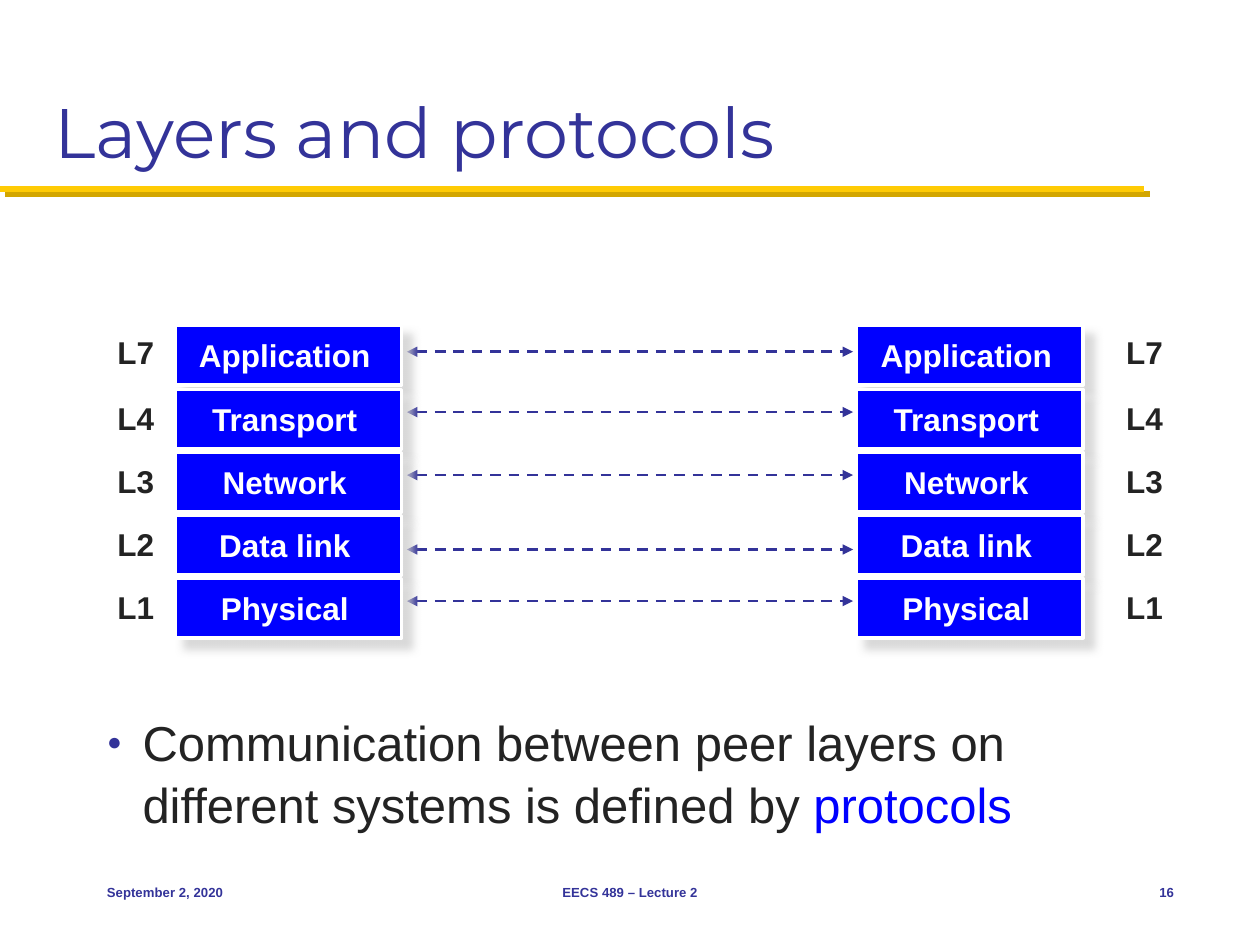
from dataclasses import dataclass

from lxml import etree
from pptx import Presentation
from pptx import util as u
from pptx.dml.color import RGBColor
from pptx.enum import dml, shapes, text
from pptx.oxml import ns

Pt = u.Pt
COLORS = {"ink": "232323", "navy": "333399", "blue": "0000FF", "white": "FFFFFF",
          "gold": "FFCB05", "gold_shade": "D3A600", "shade": "CECECE"}
LEFT, CENTER, RIGHT = text.PP_ALIGN.LEFT, text.PP_ALIGN.CENTER, text.PP_ALIGN.RIGHT
TOP, MIDDLE, BOTTOM = text.MSO_ANCHOR.TOP, text.MSO_ANCHOR.MIDDLE, text.MSO_ANCHOR.BOTTOM
INSETS = (7.2, 3.6, 7.2, 3.6)


@dataclass(frozen=True)
class Layer:
    tag: str
    name: str
    caption_width: float
    box_top: float
    tag_top: float
    arrow_y: float


@dataclass(frozen=True)
class Stack:
    box_left: float
    tag_left: float


@dataclass(frozen=True)
class Footer:
    words: str
    left: float
    width: float
    align: text.PP_ALIGN


LAYERS = [
    Layer("L7", "Application", 121.5, 186, 186.5, 201),
    Layer("L4", "Transport", 104.5, 222.5, 224.5, 235.5),
    Layer("L3", "Network", 91.5, 258.5, 260.5, 271.5),
    Layer("L2", "Data link", 96, 294.5, 296.5, 314),
    Layer("L1", "Physical", 93.5, 330.5, 332.5, 343.5),
]
STACKS = [Stack(100, 60), Stack(489.5, 636.5)]
FOOTERS = [
    Footer("September 2, 2020", 54, 150, LEFT),
    Footer("EECS 489 – Lecture 2", 246, 228, CENTER),
    Footer("16", 630, 48, RIGHT),
]
BOX_WIDTH, BOX_HEIGHT, CAPTION_HEIGHT = 129.5, 34, 28


def rgb(color: str) -> RGBColor:
    return RGBColor.from_string(COLORS[color])


def apply(obj, formats: dict) -> None:
    for name, value in formats.items():
        setattr(obj, name, value)


def add_sub(parent, tag: str, **attrs):
    return etree.SubElement(parent, ns.qn(tag), {k: str(v) for k, v in attrs.items()})


def place(sp, left: float, top: float, width: float, height: float) -> None:
    apply(sp, {"left": Pt(left), "top": Pt(top), "width": Pt(width), "height": Pt(height)})


def set_frame(tf, anchor, wrap: bool, insets=INSETS) -> None:
    sides = ("margin_left", "margin_top", "margin_right", "margin_bottom")
    apply(tf, dict(zip(sides, map(Pt, insets))))
    apply(tf, {"auto_size": text.MSO_AUTO_SIZE.NONE, "word_wrap": wrap,
               "vertical_anchor": anchor})


def add_run(p, words: str, size: float, color: str, font="Arial", bold=False) -> None:
    r = p.add_run()
    r.text = words
    apply(r.font, {"name": font, "size": Pt(size), "bold": bold})
    r.font.color.rgb = rgb(color)


def add_shadow(sp, color: str, alpha: int, blur: float, distance: float) -> None:
    """Cast a shadow down and to the right at 45 degrees."""
    props = sp._element.spPr
    for old in props.findall(ns.qn("a:effectLst")):
        props.remove(old)
    shadow = add_sub(add_sub(props, "a:effectLst"), "a:outerShdw", blurRad=Pt(blur),
                     dist=Pt(distance), dir=45 * 60000, algn="tl", rotWithShape=0)
    add_sub(add_sub(shadow, "a:srgbClr", val=COLORS[color]), "a:alpha", val=alpha * 1000)


def add_rect(parent, left: float, top: float, width: float, height: float, fill: str):
    sp = parent.add_shape(shapes.MSO_SHAPE.RECTANGLE, *map(Pt, (left, top, width, height)))
    sp.shadow.inherit = False
    sp.fill.solid()
    sp.fill.fore_color.rgb = rgb(fill)
    sp.line.fill.background()
    return sp


def add_line(s, x1: float, x2: float, y: float, color: str, weight: float):
    line = s.shapes.add_connector(shapes.MSO_CONNECTOR.STRAIGHT, *map(Pt, (x1, y, x2, y)))
    line.line.color.rgb = rgb(color)
    line.line.width = Pt(weight)
    return line


def draw_box(s, stack: Stack, layer: Layer) -> None:
    group = s.shapes.add_group_shape().shapes
    box = add_rect(group, stack.box_left, layer.box_top, BOX_WIDTH, BOX_HEIGHT, "blue")
    box.line.color.rgb = rgb("white")
    box.line.width = Pt(2)
    add_shadow(box, "shade", 75, 5, 8)
    caption = add_rect(group, stack.box_left + (BOX_WIDTH - layer.caption_width) / 2,
                       layer.box_top + (BOX_HEIGHT - CAPTION_HEIGHT) / 2,
                       layer.caption_width, CAPTION_HEIGHT, "blue")
    set_frame(caption.text_frame, MIDDLE, False, (3, 3, 7.2, 3))
    p = caption.text_frame.paragraphs[0]
    p.alignment = CENTER
    add_run(p, layer.name, 18, "white", bold=True)


def draw_tag(s, stack: Stack, layer: Layer) -> None:
    tag = add_rect(s.shapes, stack.tag_left, layer.tag_top, 36, 29, "white")
    set_frame(tag.text_frame, TOP, False)
    p = tag.text_frame.paragraphs[0]
    p.alignment = LEFT
    add_run(p, layer.tag, 18, "ink", bold=True)


def draw_arrow(s, layer: Layer) -> None:
    arrow = add_line(s, 232.5, 487.5, layer.arrow_y, "navy", 1.5)
    arrow.line.dash_style = dml.MSO_LINE.DASH
    ln = arrow.line._get_or_add_ln()
    for end in ("a:headEnd", "a:tailEnd"):
        add_sub(ln, end, type="triangle")
    add_sub(arrow._element.spPr, "a:effectLst")


def draw_footer(s, footer: Footer) -> None:
    sp = s.shapes.add_textbox(*map(Pt, (footer.left, 492, footer.width, 36)))
    set_frame(sp.text_frame, MIDDLE, True)
    p = sp.text_frame.paragraphs[0]
    p.alignment = footer.align
    add_run(p, footer.words, 7.5, "navy", bold=True)


def fill_title(sp) -> None:
    place(sp, 24, 12, 672, 90)
    set_frame(sp.text_frame, BOTTOM, True)
    p = sp.text_frame.paragraphs[0]
    p.alignment = LEFT
    add_run(p, "Layers and protocols", 40, "navy", "Montserrat")


def fill_body(sp) -> None:
    place(sp, 54, 402, 624, 76)
    set_frame(sp.text_frame, TOP, True)
    p = sp.text_frame.paragraphs[0]
    apply(p, {"space_before": Pt(0), "line_spacing": 1.05})
    props = p._p.get_or_add_pPr()
    apply_indent = {"marL": Pt(20.25), "indent": -Pt(20.25)}
    for name, value in apply_indent.items():
        props.set(name, str(value))
    add_sub(add_sub(props, "a:buClr"), "a:srgbClr", val=COLORS["navy"])
    add_sub(props, "a:buSzPct", val=50000)
    add_sub(props, "a:buFont", typeface="Arial")
    add_sub(props, "a:buChar", char="●")
    add_run(p, "Communication between peer layers on", 28, "ink")
    p.add_line_break()
    add_run(p, "different systems is defined by ", 28, "ink")
    add_run(p, "protocols", 28, "blue")


def main() -> None:
    prs = Presentation()
    prs.slide_width, prs.slide_height = Pt(720), Pt(540)
    s = prs.slides.add_slide(prs.slide_layouts[1])
    fill_title(s.shapes.title)
    fill_body(s.placeholders[1])
    add_shadow(add_line(s, 0, 654, 108, "gold", 3.5), "gold_shade", 100, 0, 4.2)
    for layer in LAYERS:
        draw_arrow(s, layer)
        for stack in STACKS:
            draw_box(s, stack, layer)
            draw_tag(s, stack, layer)
    for footer in FOOTERS:
        draw_footer(s, footer)
    prs.save("out.pptx")


if __name__ == "__main__":
    main()
